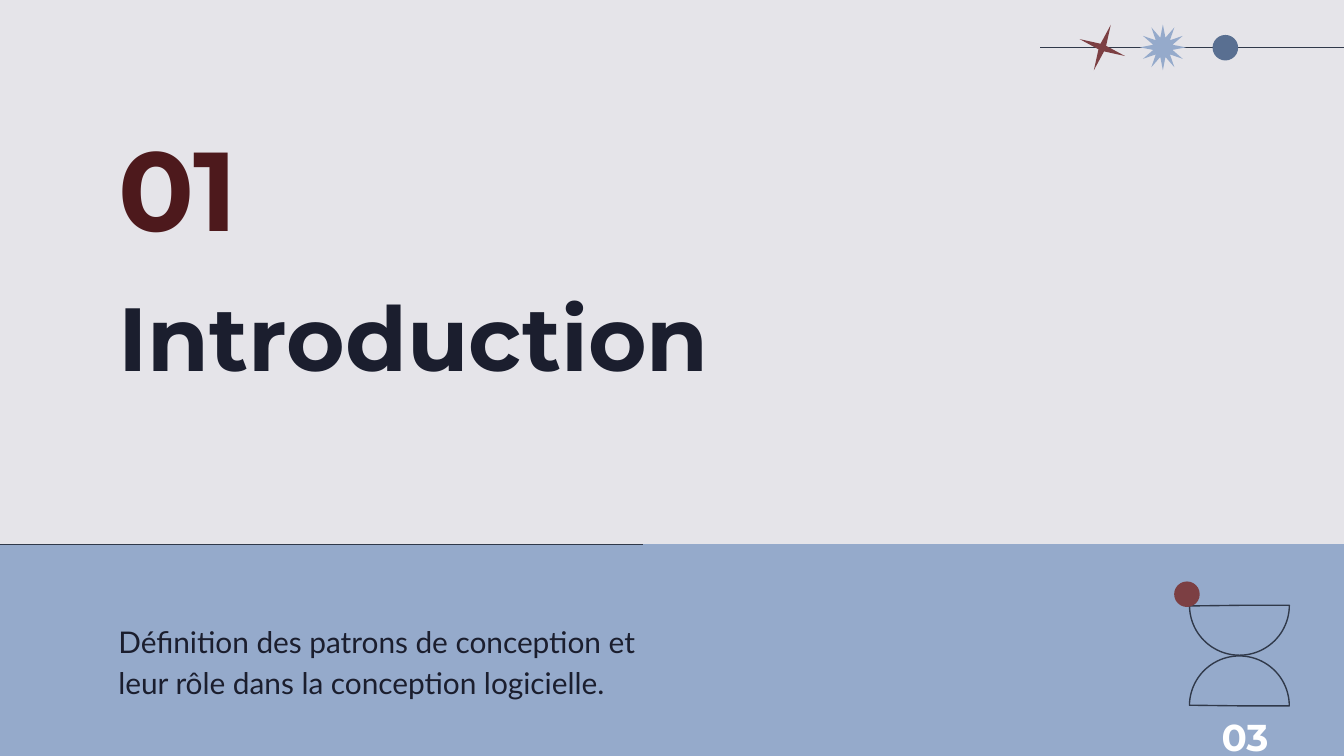
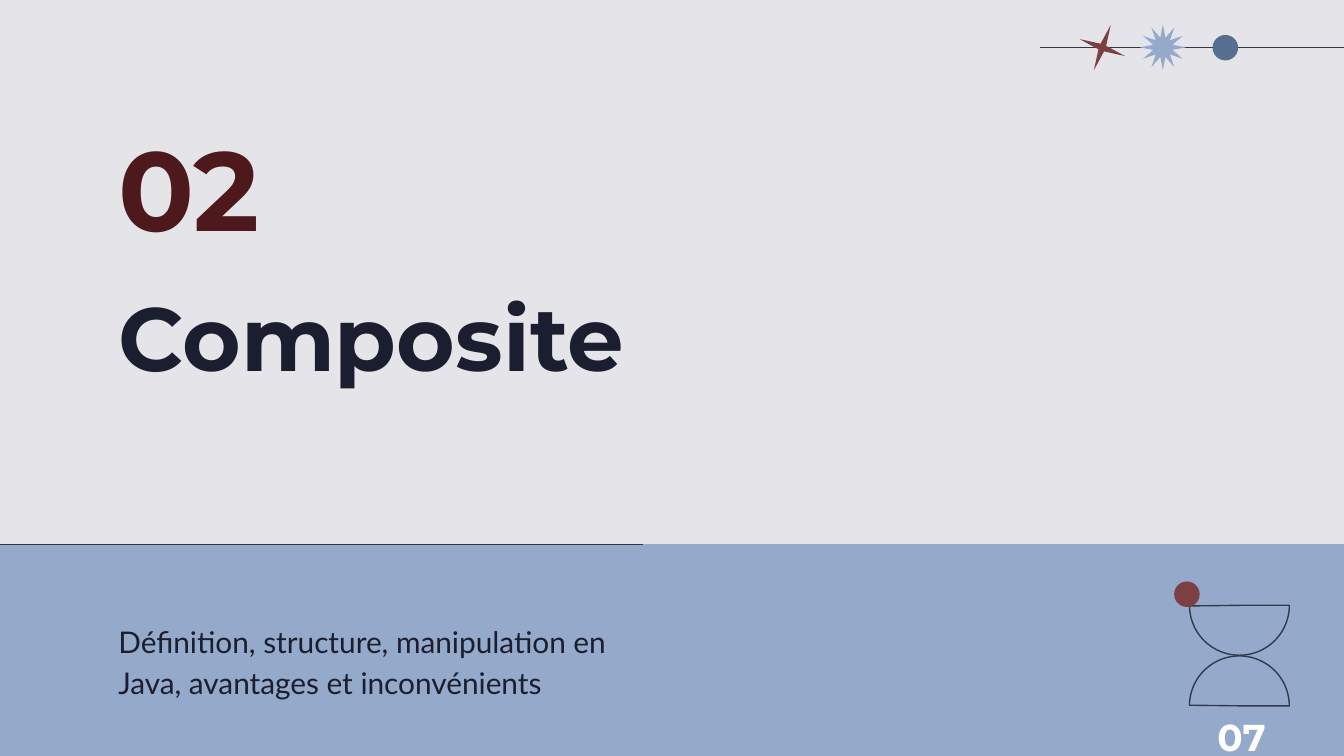
from lxml import etree
from pptx import Presentation
from pptx.dml.color import RGBColor
from pptx.enum.shapes import MSO_CONNECTOR, MSO_SHAPE
from pptx.enum.text import MSO_ANCHOR, MSO_AUTO_SIZE, PP_ALIGN
from pptx.oxml.ns import qn
from pptx.util import Pt

STRAIGHT = MSO_CONNECTOR.STRAIGHT
RECTANGLE, OVAL, PIE = MSO_SHAPE.RECTANGLE, MSO_SHAPE.OVAL, MSO_SHAPE.PIE
STAR_4, STAR_12 = MSO_SHAPE.STAR_4_POINT, MSO_SHAPE.STAR_12_POINT
TOP, MIDDLE, BOTTOM = MSO_ANCHOR.TOP, MSO_ANCHOR.MIDDLE, MSO_ANCHOR.BOTTOM
LEFT, NO_AUTOFIT = PP_ALIGN.LEFT, MSO_AUTO_SIZE.NONE

COLOURS = {
    "background": "E5E4E9",
    "band": "95AACB",
    "steel": "596F91",
    "red": "7C3F43",
    "number": "4D191C",
    "text": "1B1E2E",
    "line": "30394A",
    "white": "FFFFFF",
}
COLOURS = {name: RGBColor.from_string(value) for name, value in COLOURS.items()}

BAND_TOP = 291.6
TEXT_LEFT = 56.2
DOT = 13.7
HALF_DISC = 53.5

SECTIONS = [
    ("01", "Introduction",
     "Définition des patrons de conception et leur rôle dans la conception logicielle.",
     "03", 647.3),
    ("02", "Composite",
     "Définition, structure, manipulation en Java, avantages et inconvénients",
     "07", 645.1),
]


def add_figure(shapes, kind, left, top, width, height, fill=None):
    shape = shapes.add_shape(kind, Pt(left), Pt(top), Pt(width), Pt(height))
    shape.shadow.inherit = False
    if fill:
        shape.fill.solid()
        shape.fill.fore_color.rgb = COLOURS[fill]
        shape.line.fill.background()
    else:
        shape.fill.background()
        shape.line.color.rgb = COLOURS["line"]
        shape.line.width = Pt(0.75)
    return shape


def write_text(shape, box, text, font, size, colour, bold, anchor, spacing):
    shape.left, shape.top, shape.width, shape.height = map(Pt, box)
    frame = shape.text_frame
    frame.word_wrap = True
    frame.auto_size = NO_AUTOFIT
    frame.vertical_anchor = anchor
    frame.margin_left = frame.margin_right = Pt(7.2)
    frame.margin_top = frame.margin_bottom = Pt(7.2)
    frame.text = text
    paragraph = frame.paragraphs[0]
    paragraph.alignment = LEFT
    paragraph.line_spacing = spacing
    paragraph.space_before = Pt(0)
    paragraph.font.name = font
    paragraph.font.size = Pt(size)
    paragraph.font.bold = bold
    paragraph.font.color.rgb = COLOURS[colour]


presentation = Presentation()
presentation.slide_width = Pt(720)
presentation.slide_height = Pt(405)
layout = presentation.slide_layouts[0]

for number, title, summary, page, page_left in SECTIONS:
    slide = presentation.slides.add_slide(layout)
    shapes = slide.shapes
    slide.background.fill.solid()
    slide.background.fill.fore_color.rgb = COLOURS["background"]

    for start, end, height in [(723.6, 557.3, 25.6), (-0.7, 344.7, BAND_TOP)]:
        line = shapes.add_connector(STRAIGHT, Pt(start), Pt(height), Pt(end), Pt(height))
        line.line.color.rgb = COLOURS["line"]
        line.line.width = Pt(0.75)
        etree.SubElement(line.element.spPr, qn("a:effectLst"))

    add_figure(shapes, OVAL, 649.6, 18.7, DOT, DOT, "steel")
    red_star = add_figure(shapes, STAR_4, 577.5, 12.5, 26, 26, "red")
    red_star.rotation = 20.4
    red_star.adjustments[0] = 0.087
    blue_star = add_figure(shapes, STAR_12, 610.7, 13.1, 24.6, 24.6, "band")
    blue_star.adjustments[0] = 0.217

    band = add_figure(shapes, RECTANGLE, 0, BAND_TOP, 720, 405 - BAND_TOP, "band")
    shapes.element.insert(2, band.element)

    write_text(shapes.title, (TEXT_LEFT, 141.8, 442.1, 74.2), title,
               "Montserrat", 48, "text", True, BOTTOM, 1)
    write_text(shapes.add_textbox(0, 0, 0, 0), (TEXT_LEFT, 64.1, 130.3, 72), number,
               "Montserrat", 60, "number", True, MIDDLE, 1)
    write_text(slide.placeholders[1], (TEXT_LEFT, 324, 302.4, 33.8), summary,
               "Lato", 16, "text", False, TOP, 1.15)

    hourglass = shapes.add_group_shape().shapes
    upper = add_figure(hourglass, PIE, 637.2, 297.5, HALF_DISC, HALF_DISC)
    lower = add_figure(hourglass, PIE, 637.2, 351.4, HALF_DISC, HALF_DISC)
    for half in (upper, lower):
        half.adjustments[0] = 108.441
        half.adjustments[1] = 0
    upper.rotation = 180
    upper.element.spPr.find(qn("a:xfrm")).set("flipH", "1")
    add_figure(hourglass, OVAL, 629, 311.5, DOT, DOT, "red")

    write_text(shapes.add_textbox(0, 0, 0, 0), (page_left, 376.6, 43.9, 32.4), page,
               "Montserrat", 20, "white", True, MIDDLE, 1.15)

presentation.save("out.pptx")
